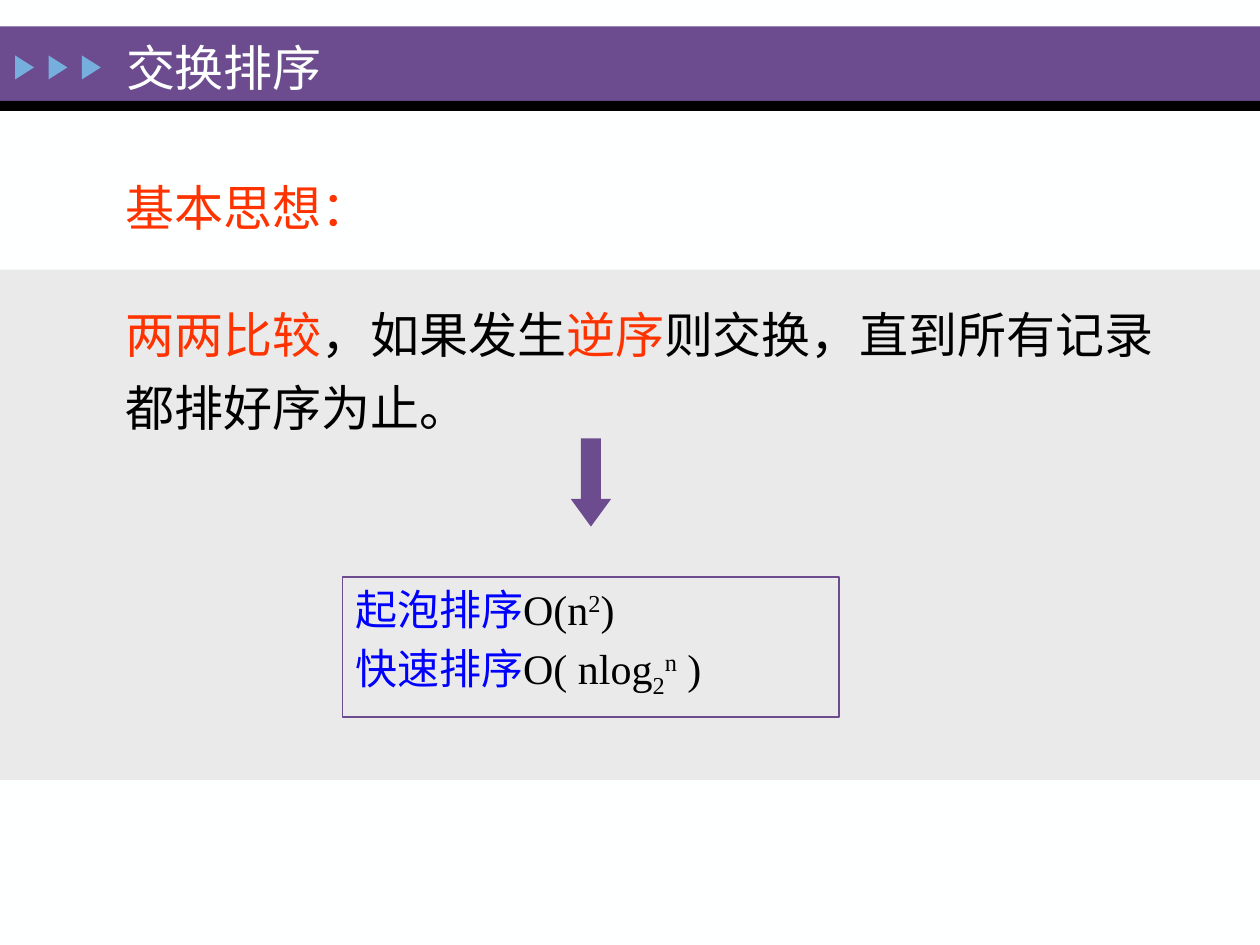
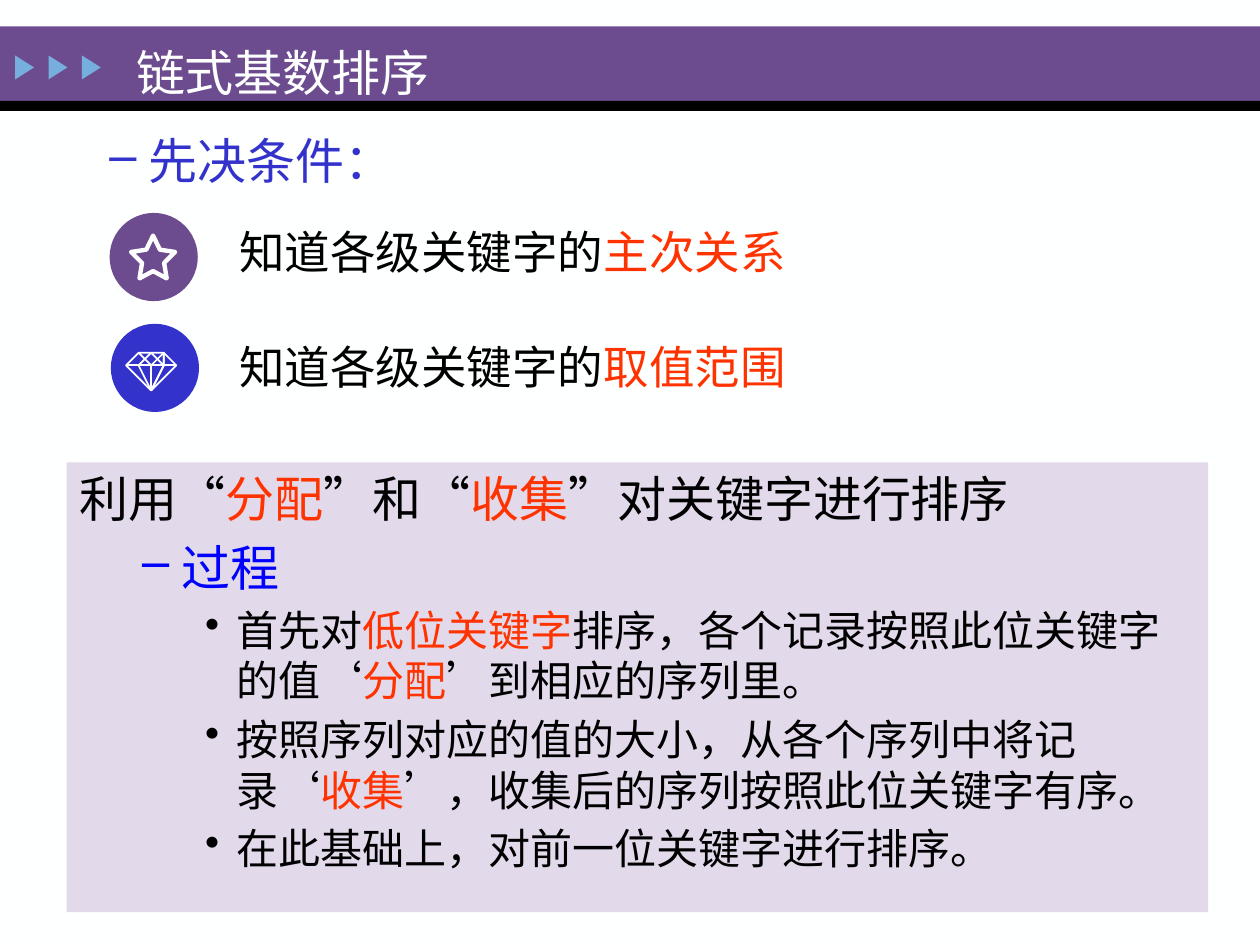
from dataclasses import dataclass

from lxml import etree
from pptx import Presentation
from pptx.dml.color import RGBColor
from pptx.enum.shapes import MSO_SHAPE
from pptx.enum.text import MSO_ANCHOR, MSO_AUTO_SIZE, PP_ALIGN
from pptx.oxml.ns import qn
from pptx.util import Inches, Pt

RECT, OVAL = MSO_SHAPE.RECTANGLE, MSO_SHAPE.OVAL
TRIANGLE, STAR = MSO_SHAPE.ISOSCELES_TRIANGLE, MSO_SHAPE.STAR_5_POINT
DOWN_ARROW = MSO_SHAPE.DOWN_ARROW
TOP, LEFT, FIXED = MSO_ANCHOR.TOP, PP_ALIGN.LEFT, MSO_AUTO_SIZE.NONE


@dataclass(frozen=True)
class Theme:
    font: str = "Times New Roman"
    white: str = "FEFFFF"
    black: str = "000000"
    purple: str = "6C4C8F"
    lilac: str = "E2D9EB"
    grey: str = "EAEAEA"
    sky: str = "76AEDD"
    red: str = "FF3300"
    blue: str = "0000FF"
    indigo: str = "3333CC"
    heading: int = 28
    point: int = 26
    detail: int = 24


@dataclass
class Line:
    """One paragraph: runs are (text, colour) or (text, colour, baseline in %)."""
    runs: list
    size: int
    bullet: str = ""
    margin: float = 0
    hang: float = 0
    spacing: float = 1.0


T = Theme()
prs = Presentation()
prs.slide_width, prs.slide_height = Inches(10), Inches(7.5)
COL, ROW = prs.slide_width / 100, prs.slide_height / 75  # grid of 100 x 75 cells

page = prs.slide_master.background.fill
page.solid()
page.fore_color.rgb = RGBColor.from_string(T.white)


def add_block(slide, preset, left, top, width, height, fill=None, line=None, weight=0.75):
    """Place a preset shape, or a text box when preset is None, in grid cells."""
    box = [int(left * COL), int(top * ROW), int(width * COL), int(height * ROW)]
    if preset is None:
        return slide.shapes.add_textbox(*box)
    block = slide.shapes.add_shape(preset, *box)
    block.shadow.inherit = False
    if fill:
        block.fill.solid()
        block.fill.fore_color.rgb = RGBColor.from_string(fill)
    else:
        block.fill.background()
    if line:
        block.line.color.rgb = RGBColor.from_string(line)
        block.line.width = Pt(weight)
    else:
        block.line.fill.background()
    return block


def write(block, lines):
    frame = block.text_frame
    frame.word_wrap, frame.auto_size, frame.vertical_anchor = True, FIXED, TOP
    for index, line in enumerate(lines):
        paragraph = frame.add_paragraph() if index else frame.paragraphs[0]
        paragraph.alignment = LEFT
        paragraph.line_spacing = line.spacing
        paragraph.space_before = Pt(0.2 * line.size if index else 0)
        if line.bullet:
            props = paragraph._p.get_or_add_pPr()
            props.set("marL", str(Inches(line.margin)))
            props.set("indent", str(-Inches(line.hang)))
            etree.SubElement(props, qn("a:buChar")).set("char", line.bullet)
        for text, colour, *baseline in line.runs:
            run = paragraph.add_run()
            run.text = text
            run.font.name, run.font.size = T.font, Pt(line.size)
            run.font.color.rgb = RGBColor.from_string(colour)
            if baseline:
                run.font._element.set("baseline", str(baseline[0] * 1000))


# Shared header: band, rule, three pointers and the title
headers = [
    ("交换排序", (9, 2.5, 67.3, 7.5), 1.0),
    ("链式基数排序", (9.8, 1.7, 25.6, 6.4), 1.25),
]
slides = []
for title_text, (left, top, width, height), spacing in headers:
    slide = prs.slides.add_slide(prs.slide_layouts[5])
    add_block(slide, RECT, 0, 2.1, 100, 5.9, T.purple)
    add_block(slide, RECT, 0, 8, 100, 0.8, T.black)
    for step in range(3):
        pointer = add_block(slide, TRIANGLE, 1 + 2.65 * step, 4.6, 1.9, 1.5, T.sky)
        pointer.rotation = 90
    title = slide.shapes.title
    title.left, title.top = int(left * COL), int(top * ROW)
    title.width, title.height = int(width * COL), int(height * ROW)
    write(title, [Line([(title_text, T.white)], T.heading, spacing=spacing)])
    slide.shapes.element.append(title.element)  # bring above the band
    slides.append(slide)
exchange, radix = slides

# Exchange sort
add_block(exchange, RECT, 0, 21.4, 100, 40.5, T.grey)
idea_heading = add_block(exchange, None, 9, 13.6, 86.8, 5.7)
write(idea_heading, [Line([("基本思想：", T.red)], T.heading)])
idea = add_block(exchange, None, 9, 22.5, 86.8, 12.3)
write(idea, [Line([
    ("两两比较", T.red),
    ("，如果发生", T.black),
    ("逆序", T.red),
    ("则交换，直到所有记录都排好序为止。", T.black),
], T.heading, spacing=1.25)])

complexity = add_block(exchange, RECT, 27.2, 45.8, 39.4, 11.1, line=T.purple)
write(complexity, [
    Line([("起泡排序", T.blue), ("O(n", T.black), ("2", T.black, 30),
          (")", T.black)], T.detail),
    Line([("快速排序", T.blue), ("O( nlog", T.black), ("2", T.black, -25),
          ("n", T.black, 30), (" )", T.black)], T.detail),
])
arrow = add_block(exchange, DOWN_ARROW, 45.3, 34.8, 3.2, 7, T.purple)
arrow.adjustments[0], arrow.adjustments[1] = 0.5, 0.685

# Linked radix sort: preconditions
DASH = dict(bullet="–", margin=0.81, hang=0.31)
DOT = dict(bullet="•", margin=1.25, hang=0.25)
precondition = add_block(radix, None, 2.7, 9.9, 90.6, 6.1)
write(precondition, [Line([("先决条件：", T.indigo)], T.heading, **DASH)])

conditions = [
    ("主次关系", 17.3, (8.7, 16.9), T.purple),
    ("取值范围", 26.4, (8.8, 25.7), T.indigo),
]
for key_term, text_top, (badge_left, badge_top), colour in conditions:
    add_block(radix, OVAL, badge_left, badge_top, 7, 7, colour)
    condition = add_block(radix, None, 18, text_top, 77.8, 6.2)
    write(condition, [Line([("知道各级关键字的", T.black), (key_term, T.red)], T.point)])

star = add_block(radix, STAR, 10.4, 18.7, 3.5, 3.4, line=T.white, weight=2.5)
star.adjustments[0] = 0.25

# Gem: outline, girdle, two crossing zigzags on the crown, four rays to the tip
crown, girdle, tip = 27.95, 28.75, 30.7
facets = [11.2, 11.93, 12.67, 13.4]
strokes = [
    [(11.2, crown), (13.4, crown), (14.2, girdle), (12.3, tip), (10.4, girdle),
     (11.2, crown)],
    [(10.4, girdle), (14.2, girdle)],
    list(zip(facets, [crown, girdle] * 2)),
    list(zip(facets, [girdle, crown] * 2)),
]
strokes += [[(x, girdle), (12.3, tip)] for x in facets]
pen = radix.shapes.build_freeform(*strokes[0][0], scale=(COL, ROW))
for start, *rest in strokes:
    pen.move_to(*start)
    pen.add_line_segments(rest, close=False)
gem = pen.convert_to_shape()
gem.shadow.inherit = False
gem.fill.background()
gem.line.color.rgb = RGBColor.from_string(T.white)
gem.line.width = Pt(1)

# Linked radix sort: process
process = add_block(radix, RECT, 5.3, 36.7, 90.6, 35.7, T.lilac)
write(process, [
    Line([("利用“", T.black), ("分配", T.red), ("”和“", T.black), ("收集", T.red),
          ("”对关键字进行排序", T.black)], T.heading),
    Line([("过程", T.blue)], T.heading, **DASH),
    Line([("首先对", T.black), ("低位关键字", T.red),
          ("排序，各个记录按照此位关键字的值‘", T.black), ("分配", T.red),
          ("’到相应的序列里。", T.black)], T.detail, **DOT),
    Line([("按照序列对应的值的大小，从各个序列中将记录‘", T.black), ("收集", T.red),
          ("’，收集后的序列按照此位关键字有序。", T.black)], T.detail, **DOT),
    Line([("在此基础上，对前一位关键字进行排序。", T.black)], T.detail, **DOT),
])

prs.save("out.pptx")
